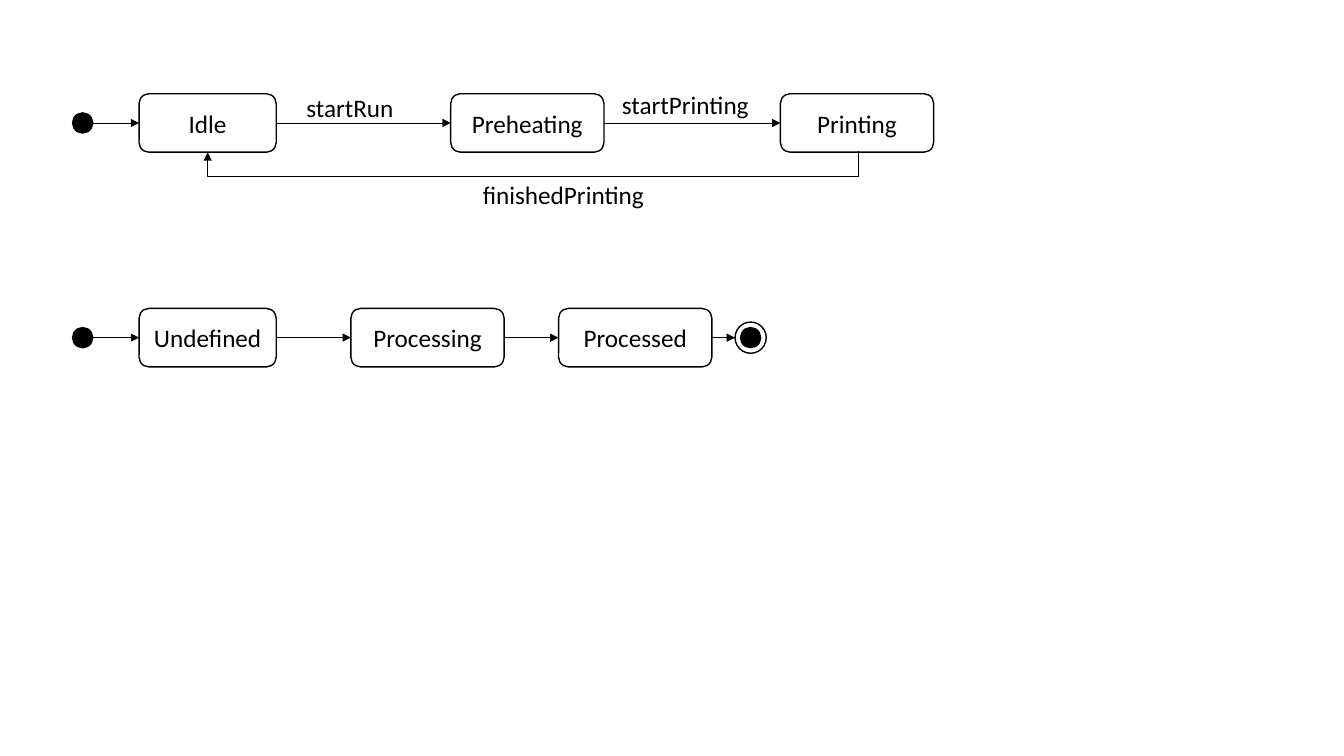
"""Builds a slide with two state machines: a printer run and a processing job."""
from lxml import etree
from pptx import Presentation
from pptx.dml.color import RGBColor
from pptx.enum import shapes, text
from pptx.oxml.ns import qn
from pptx.util import Inches, Pt

BLACK = RGBColor(0, 0, 0)
FONT = "Calibri"
STATE_HEIGHT = 0.58
DOT_SIZE = 0.2
RING_SIZE = 0.31


def set_font(paragraph):
    paragraph.font.name = FONT
    paragraph.font.size = Pt(18)
    paragraph.font.color.rgb = BLACK


def add_outlined(slide, preset, left, middle, width, height, filled=False):
    shape = slide.shapes.add_shape(preset, Inches(left), Inches(middle - height / 2),
                                   Inches(width), Inches(height))
    shape.shadow.inherit = False
    if filled:
        shape.fill.solid()
        shape.fill.fore_color.rgb = BLACK
    else:
        shape.fill.background()
    shape.line.color.rgb = BLACK
    shape.line.width = Pt(1)
    return shape


def add_circle(slide, left, middle, size, filled):
    return add_outlined(slide, shapes.MSO_SHAPE.OVAL, left, middle, size, size, filled)


def add_state(slide, name, left, middle, width):
    state = add_outlined(slide, shapes.MSO_SHAPE.ROUNDED_RECTANGLE,
                         left, middle, width, STATE_HEIGHT)
    frame = state.text_frame
    frame.vertical_anchor = text.MSO_ANCHOR.MIDDLE
    paragraph = frame.paragraphs[0]
    paragraph.text = name
    paragraph.alignment = text.PP_ALIGN.CENTER
    set_font(paragraph)
    return state


def add_arrow(slide, kind, start_x, start_y, end_x, end_y):
    arrow = slide.shapes.add_connector(kind, start_x, start_y, end_x, end_y)
    arrow.line.color.rgb = BLACK
    arrow.line.width = Pt(0.5)
    etree.SubElement(arrow.line._get_or_add_ln(), qn("a:tailEnd"), type="triangle")
    etree.SubElement(arrow._element.spPr, qn("a:effectLst"))
    return arrow


def add_transition(slide, source, target, middle):
    add_arrow(slide, shapes.MSO_CONNECTOR.STRAIGHT, source.left + source.width,
              Inches(middle), target.left, Inches(middle))


def add_return_arrow(slide):
    """Draws the elbow from Printing down and back up to Idle, as a quarter-turned connector."""
    back = add_arrow(slide, shapes.MSO_CONNECTOR.ELBOW, Inches(5.28), Inches(-1.72),
                     Inches(5.29), Inches(4.73))
    properties = back._element.spPr
    properties.find(qn("a:xfrm")).set("rot", str(90 * 60000))
    guides = properties.find(qn("a:prstGeom")).get_or_add_avLst()
    etree.SubElement(guides, qn("a:gd"), name="adj1", fmla="val 2500000")


def add_label(slide, event, left, top, width):
    label = slide.shapes.add_textbox(Inches(left), Inches(top), Inches(width), Inches(0.4))
    frame = label.text_frame
    frame.word_wrap = False
    frame.auto_size = text.MSO_AUTO_SIZE.SHAPE_TO_FIT_TEXT
    frame.paragraphs[0].text = event
    set_font(frame.paragraphs[0])


def add_machine(slide, middle, states, final_left=None):
    steps = [add_circle(slide, 0.72, middle, DOT_SIZE, True)]
    steps += [add_state(slide, name, left, middle, width) for name, left, width in states]
    if final_left is not None:
        add_circle(slide, final_left + (RING_SIZE - DOT_SIZE) / 2, middle, DOT_SIZE, True)
        steps.append(add_circle(slide, final_left, middle, RING_SIZE, False))
    for source, target in zip(steps, steps[1:]):
        add_transition(slide, source, target, middle)


def main():
    deck = Presentation()
    deck.slide_width, deck.slide_height = Inches(13.33), Inches(7.5)
    slide = deck.slides.add_slide(deck.slide_layouts[6])

    add_machine(slide, 1.22, [("Idle", 1.38, 1.36), ("Preheating", 4.47, 1.52),
                              ("Printing", 7.74, 1.52)])
    add_return_arrow(slide)
    for event, left, top, width in [("startRun", 2.94, 0.87, 1.07),
                                    ("startPrinting", 6.07, 0.84, 1.47),
                                    ("finishedPrinting", 4.69, 1.73, 1.82)]:
        add_label(slide, event, left, top, width)

    add_machine(slide, 3.35, [("Undefined", 1.38, 1.36), ("Processing", 3.48, 1.52),
                              ("Processed", 5.54, 1.52)], final_left=7.29)
    deck.save("out.pptx")


if __name__ == "__main__":
    main()
